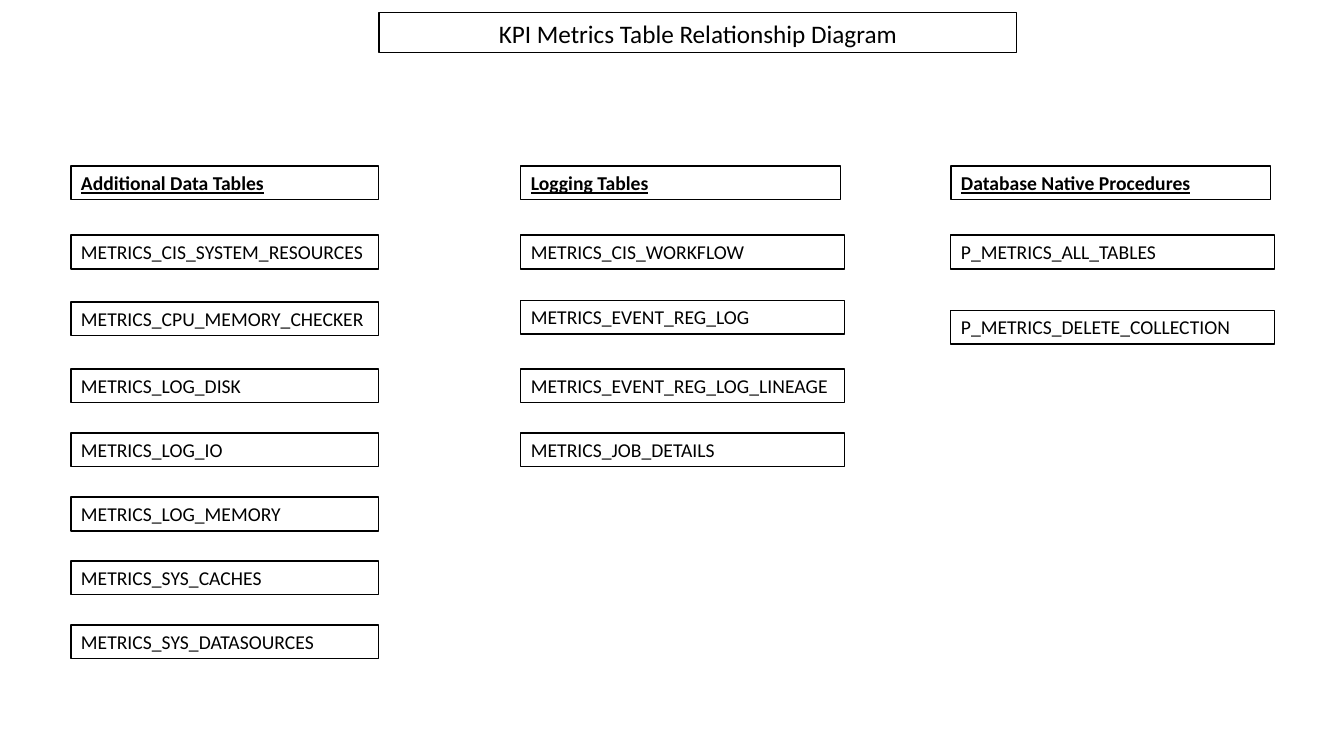
from dataclasses import dataclass

from pptx import Presentation
from pptx.dml.color import RGBColor
from pptx.enum.shapes import MSO_SHAPE
from pptx.enum.text import MSO_ANCHOR, MSO_AUTO_SIZE, PP_ALIGN
from pptx.util import Emu, Pt

TITLE = "KPI Metrics Table Relationship Diagram"
TITLE_BOX = (379, 13, 638, 40)

# Each group: heading, left, heading width, table width, row tops that differ, names
GROUPS = [
    ("Additional Data Tables", 71, 308, 308, {}, [
        "METRICS_CIS_SYSTEM_RESOURCES",
        "METRICS_CPU_MEMORY_CHECKER",
        "METRICS_LOG_DISK",
        "METRICS_LOG_IO",
        "METRICS_LOG_MEMORY",
        "METRICS_SYS_CACHES",
        "METRICS_SYS_DATASOURCES",
    ]),
    ("Logging Tables", 521, 320, 324, {1: 300}, [
        "METRICS_CIS_WORKFLOW",
        "METRICS_EVENT_REG_LOG",
        "METRICS_EVENT_REG_LOG_LINEAGE",
        "METRICS_JOB_DETAILS",
    ]),
    ("Database Native Procedures", 951, 320, 324, {1: 310}, [
        "P_METRICS_ALL_TABLES",
        "P_METRICS_DELETE_COLLECTION",
    ]),
]
HEADING_TOP, ROW_HEIGHT = 166, 34
FIRST_ROW, WIDE_STEP, STEP, WIDE_STEPS = 235, 67, 64, 2


@dataclass(frozen=True)
class Theme:
    """Colours, font and sizes of the slide."""
    ink: RGBColor = RGBColor(0, 0, 0)
    font: str = "Calibri"
    title: Pt = Pt(18)
    body: Pt = Pt(14)
    border: Pt = Pt(0.75)


THEME = Theme()


def px(length):
    """Turn pixels (100.8 to the inch) into EMU."""
    return Emu(round(length * 914400 / 100.8))


def row_top(row):
    """Top of a row: two wide steps, then narrower ones."""
    return FIRST_ROW + row * STEP + min(row, WIDE_STEPS) * (WIDE_STEP - STEP)


def add_box(slide, label, box, size=THEME.body, align=PP_ALIGN.LEFT, heading=False):
    """Add an outlined, unfilled rectangle holding one line of text."""
    rect = slide.shapes.add_shape(MSO_SHAPE.RECTANGLE, *map(px, box))
    rect.shadow.inherit = False
    rect.fill.background()
    rect.line.color.rgb = THEME.ink
    rect.line.width = THEME.border
    frame = rect.text_frame
    frame.word_wrap = True
    frame.auto_size = MSO_AUTO_SIZE.SHAPE_TO_FIT_TEXT
    frame.vertical_anchor = MSO_ANCHOR.TOP
    line = frame.paragraphs[0]
    line.text = label
    line.alignment = align
    font = line.font
    font.name, font.size = THEME.font, size
    font.color.rgb = THEME.ink
    if heading:
        font.bold = font.underline = True


deck = Presentation()
deck.slide_width, deck.slide_height = px(1344), px(756)
slide = deck.slides.add_slide(deck.slide_layouts[6])

add_box(slide, TITLE, TITLE_BOX, THEME.title, PP_ALIGN.CENTER)
for heading, left, heading_width, table_width, moved, names in GROUPS:
    add_box(slide, heading, (left, HEADING_TOP, heading_width, ROW_HEIGHT), heading=True)
    for row, name in enumerate(names):
        top = moved.get(row, row_top(row))
        add_box(slide, name, (left, top, table_width, ROW_HEIGHT))

deck.save("out.pptx")
